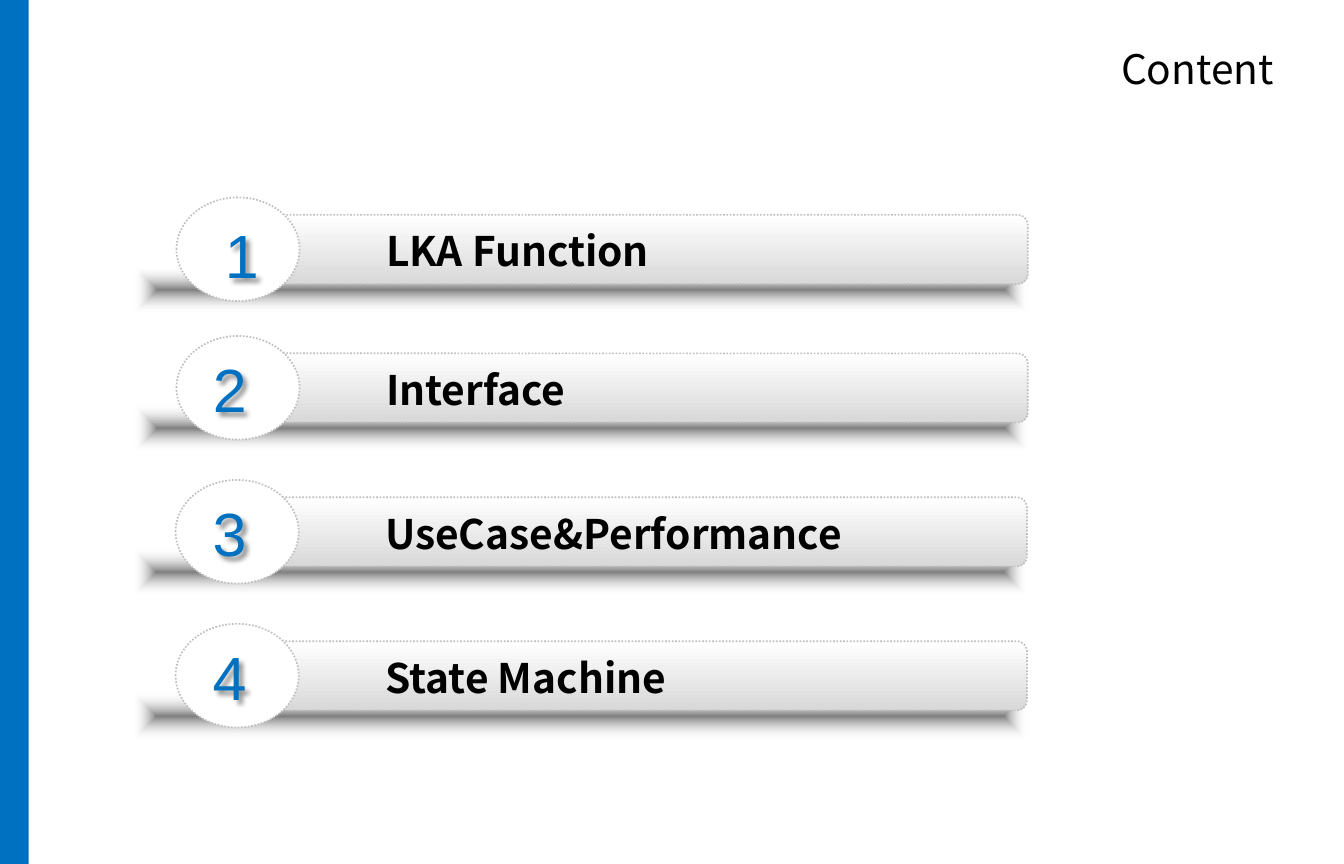
from lxml import etree
from pptx import Presentation
from pptx.dml.color import RGBColor
from pptx.enum.dml import MSO_LINE
from pptx.enum.shapes import MSO_SHAPE
from pptx.enum.text import MSO_ANCHOR, MSO_AUTO_SIZE, PP_ALIGN
from pptx.oxml.ns import nsdecls
from pptx.util import Pt

RECTANGLE, ROUNDED, OVAL = MSO_SHAPE.RECTANGLE, MSO_SHAPE.ROUNDED_RECTANGLE, MSO_SHAPE.OVAL
DOTTED, TOP, FIXED = MSO_LINE.ROUND_DOT, MSO_ANCHOR.TOP, MSO_AUTO_SIZE.NONE
LEFT, RIGHT = PP_ALIGN.LEFT, PP_ALIGN.RIGHT

# Content
TITLE = "Content"
# label, row left, row top, number offset (x, y), number width
ROWS = [
    ("LKA Function", 104.2, 116.6, (21.6, 8.4), 31.7),
    ("Interface", 104.2, 198.4, (14.4, 5.8), 40.3),
    ("UseCase&Performance", 103.7, 283.4, (14.8, 5.8), 39.6),
    ("State Machine", 103.7, 368.4, (14.8, 5.8), 42.5),
]

# Format
WIDTH, HEIGHT = 793.7, 510.24
BLUE, BLACK, WHITE, BORDER = "0070C0", "000000", "FFFFFF", "BFBFBF"
HEADING_FONT, NUMBER_FONT = "Noto Sans CJK SC", "Arial"
SHADOW_GRADIENT = f"""<a:gradFill {nsdecls('a')} rotWithShape="1"><a:gsLst>
<a:gs pos="0"><a:srgbClr val="808080"/></a:gs>
<a:gs pos="100000"><a:srgbClr val="FFFFFF"><a:alpha val="0"/></a:srgbClr></a:gs></a:gsLst>
<a:path path="rect"><a:fillToRect l="50000" t="50000" r="50000" b="50000"/></a:path></a:gradFill>"""
BAR_GRADIENT = f"""<a:gradFill {nsdecls('a')} rotWithShape="1"><a:gsLst>
<a:gs pos="0"><a:srgbClr val="FFFFFF"/></a:gs>
<a:gs pos="98000"><a:srgbClr val="D9D9D9"/></a:gs></a:gsLst>
<a:lin ang="5400000" scaled="0"/></a:gradFill>"""
NUMBER_SHADOW = f"""<a:effectLst {nsdecls('a')}>
<a:outerShdw blurRad="38100" dist="38100" dir="2700000" algn="tl">
<a:srgbClr val="000000"><a:alpha val="43000"/></a:srgbClr></a:outerShdw></a:effectLst>"""


def color(value):
    return RGBColor.from_string(value)


def write(frame, text, font=HEADING_FONT, size=24, fill=BLACK, bold=False,
          align=LEFT, wrap=True):
    frame.auto_size = FIXED
    frame.word_wrap = wrap
    frame.vertical_anchor = TOP
    paragraph = frame.paragraphs[0]
    paragraph.alignment = align
    run = paragraph.add_run()
    run.text = text
    run.font.name, run.font.size, run.font.bold = font, Pt(size), bold
    run.font.color.rgb = color(fill)


def add_shape(parent, kind, left, top, width, height, fill=None, gradient=None, border=False):
    shape = parent.add_shape(kind, Pt(left), Pt(top), Pt(width), Pt(height))
    shape.shadow.inherit = False
    if gradient:
        shape.fill.background()
        properties = shape.element.spPr
        properties.replace(properties.find("{*}noFill"), etree.fromstring(gradient))
    else:
        shape.fill.solid()
        shape.fill.fore_color.rgb = color(fill)
    if border:
        shape.line.color.rgb = color(BORDER)
        shape.line.width = Pt(1)
        shape.line.dash_style = DOTTED
    else:
        shape.line.fill.background()
    return shape


def add_text(parent, left, top, width, height, text, **style):
    box = parent.add_textbox(Pt(left), Pt(top), Pt(width), Pt(height))
    write(box.text_frame, text, **style)
    return box


presentation = Presentation()
presentation.slide_width, presentation.slide_height = Pt(WIDTH), Pt(HEIGHT)
slide = presentation.slides.add_slide(presentation.slide_layouts[5])

# Side band and title
add_shape(slide.shapes, RECTANGLE, 0, 0, 17, HEIGHT, fill=BLUE)
title = slide.shapes.title
title.left, title.top, title.width, title.height = Pt(586), Pt(22.3), Pt(173.4), Pt(36)
write(title.text_frame, TITLE, align=RIGHT)

# Numbered rows
for number, (label, left, top, (shift_x, shift_y), number_width) in enumerate(ROWS, 1):
    row = slide.shapes.add_group_shape().shapes
    add_shape(row, RECTANGLE, left - 24.5, top + 40.8, 526.8, 27.4, gradient=SHADOW_GRADIENT)
    bar = add_shape(row, ROUNDED, left + 52.5, top + 10.3, 450.3, 40.8,
                    gradient=BAR_GRADIENT, border=True)
    bar.adjustments[0] = 0.15
    add_shape(row, OVAL, left, top, 72.7, 61.2, fill=WHITE, border=True)
    number_box = add_text(row, left + shift_x, top + shift_y, number_width, 51, str(number),
                          font=NUMBER_FONT, size=36, fill=BLUE, wrap=False)
    number_box.element.spPr.append(etree.fromstring(NUMBER_SHADOW))
    add_text(slide.shapes, left + 116.7, top + 13.5, 385, 36, label, bold=True)

presentation.save("out.pptx")
